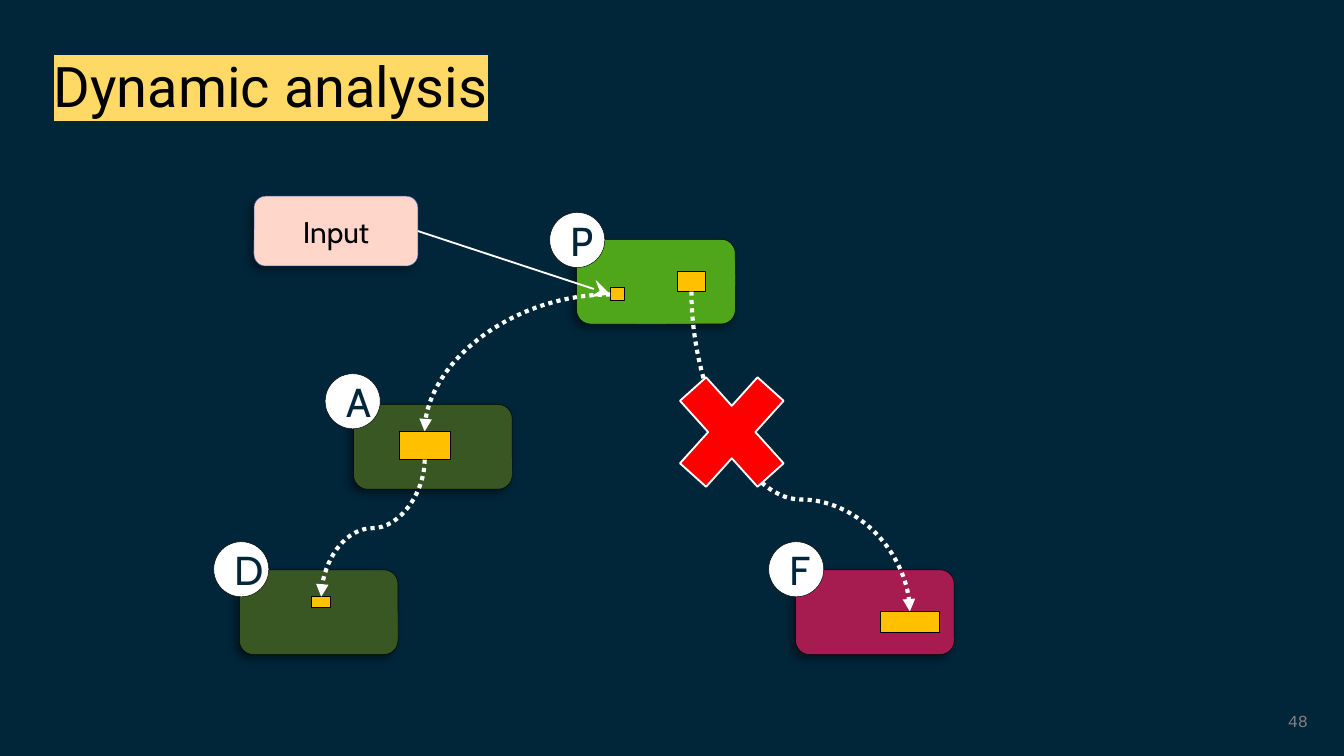
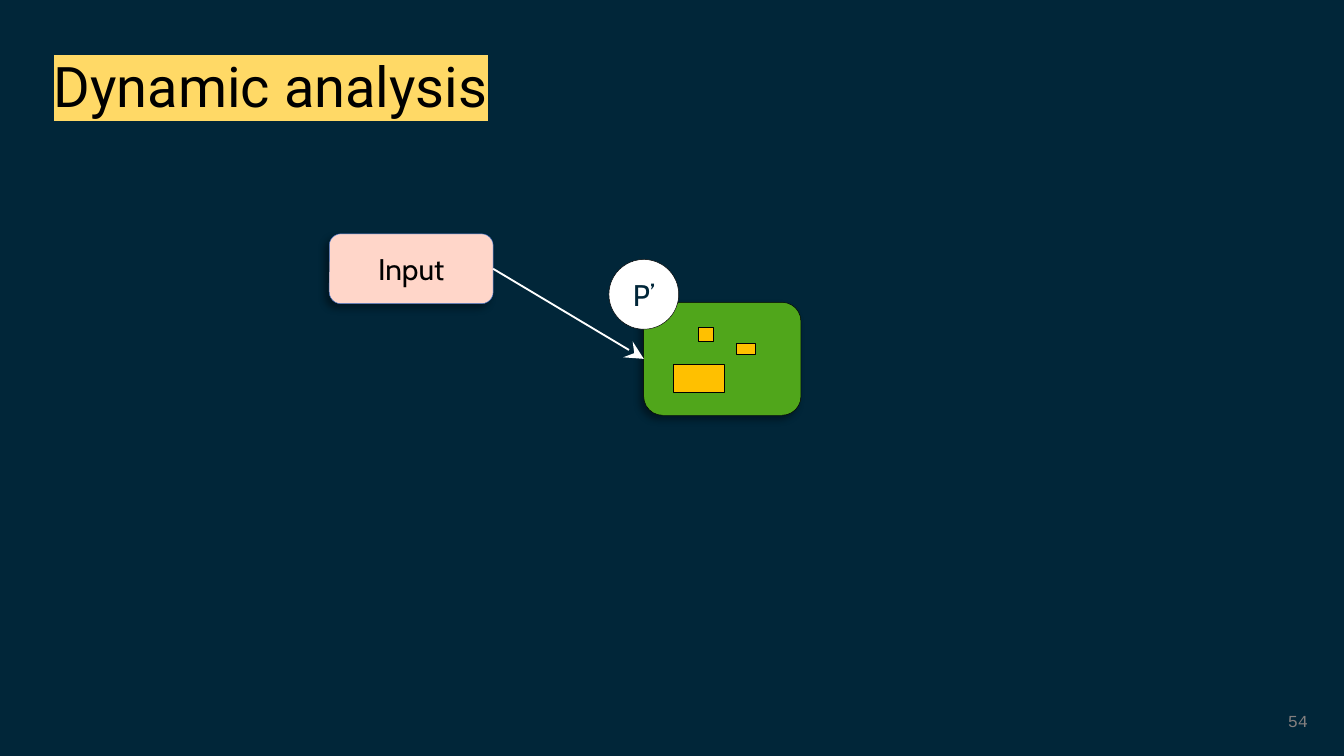
from lxml import etree
from pptx import Presentation
from pptx.dml.color import RGBColor
from pptx.enum.dml import MSO_LINE
from pptx.enum.shapes import MSO_CONNECTOR as LINK, MSO_SHAPE as SHAPE
from pptx.enum.text import MSO_ANCHOR as ANCHOR, MSO_AUTO_SIZE, PP_ALIGN as ALIGN
from pptx.oxml.ns import qn
from pptx.util import Pt

COLORS = {
    "night": "012639",
    "white": "FFFFFF",
    "black": "000000",
    "highlight": "FFD966",
    "program": "50A61B",
    "loaded": "385723",
    "unreached": "A61B50",
    "code": "FFC000",
    "input": "FFD6C9",
    "input_edge": "4472C4",
    "cross": "FF0000",
    "number": "847F7F",
}
TOP, LEFT, BOTTOM, RIGHT = range(4)
WIDE, SQUARE, SMALL = (27.4, 15.1), (7.9, 7.2), (10.1, 5.8)
MODULE = (85, 45.4)


def rgb(name):
    return RGBColor.from_string(COLORS[name])


def child(parent, tag, **attributes):
    return etree.SubElement(parent, qn(tag), **attributes)


class Deck:
    def __init__(self):
        self.prs = Presentation()
        self.prs.slide_width, self.prs.slide_height = Pt(720), Pt(405)

    def new_slide(self, title, number):
        self.slide = self.prs.slides.add_slide(self.prs.slide_layouts[5])
        background = self.slide.background.fill
        background.solid()
        background.fore_color.rgb = rgb("night")
        self.title(title)
        self.number(number)

    def set_text(self, shape, text, size, font, color, align, anchor):
        frame = shape.text_frame
        frame.text = text
        frame.word_wrap = True
        frame.auto_size = MSO_AUTO_SIZE.NONE
        frame.vertical_anchor = anchor
        paragraph = frame.paragraphs[0]
        paragraph.alignment = align
        run = paragraph.runs[0]
        run.font.size = Pt(size)
        run.font.name = font
        run.font.color.rgb = rgb(color)
        return paragraph

    def title(self, text):
        heading = self.slide.shapes.title
        heading.left, heading.top = Pt(21.6), Pt(28)
        heading.width, heading.height = Pt(526.3), Pt(38.9)
        paragraph = self.set_text(heading, text, 30, "Roboto", "black", ALIGN.LEFT, ANCHOR.TOP)
        paragraph.line_spacing = 0.9
        properties = paragraph.runs[0].font._element
        highlight = etree.Element(qn("a:highlight"))
        child(highlight, "a:srgbClr", val=COLORS["highlight"])
        properties.find(qn("a:solidFill")).addnext(highlight)

    def number(self, text):
        corner = self.slide.shapes.add_textbox(Pt(545.8), Pt(375.1), Pt(162), Pt(21.6))
        self.set_text(corner, text, 9, "Courier New", "number", ALIGN.RIGHT, ANCHOR.MIDDLE)

    def shape(self, kind, at, size, fill, edge="black", weight=0.25, shadow=False):
        shape = self.slide.shapes.add_shape(kind, *map(Pt, (*at, *size)))
        shape.fill.solid()
        shape.fill.fore_color.rgb = rgb(fill)
        shape.line.color.rgb = rgb(edge)
        shape.line.width = Pt(weight)
        shape.shadow.inherit = False
        if shadow:
            effects = shape.element.spPr.find(qn("a:effectLst"))
            outer = child(effects, "a:outerShdw", blurRad=str(Pt(4)), dist=str(Pt(3)),
                          dir="8100000", algn="tr", rotWithShape="0")
            color = child(outer, "a:srgbClr", val=COLORS["black"])
            child(color, "a:alpha", val="40000")
        return shape

    def module(self, at, fill, size=MODULE):
        return self.shape(SHAPE.ROUNDED_RECTANGLE, at, size, fill, shadow=True)

    def badge(self, letter, at, diameter=29.5, size=21.6):
        circle = self.shape(SHAPE.OVAL, at, (diameter, diameter), "white")
        self.set_text(circle, letter, size, "Cabin", "night", ALIGN.CENTER, ANCHOR.MIDDLE)

    def chip(self, at, size):
        return self.shape(SHAPE.RECTANGLE, at, size, "code", weight=0.5)

    def input_box(self, at):
        box = self.shape(SHAPE.ROUNDED_RECTANGLE, at, (87.8, 37.4), "input", "input_edge", shadow=True)
        self.set_text(box, "Input", 16, "Cabin", "black", ALIGN.CENTER, ANCHOR.MIDDLE)
        return box

    def connect(self, kind, source, source_side, target, target_side, weight, head, head_size, dash=None):
        link = self.slide.shapes.add_connector(kind, 0, 0, 0, 0)
        link.begin_connect(source, source_side)
        link.end_connect(target, target_side)
        link.line.color.rgb = rgb("white")
        link.line.width = Pt(weight)
        if dash:
            link.line.dash_style = dash
        properties = link.element.spPr
        child(properties.find(qn("a:ln")), "a:tailEnd", type=head, w=head_size, len=head_size)
        child(properties, "a:effectLst")
        return link

    def arrow(self, source, target):
        self.connect(LINK.STRAIGHT, source, RIGHT, target, LEFT, 1, "stealth", "lg")

    def call(self, source, source_side, target, bend=0.5):
        link = self.connect(LINK.CURVE, source, source_side, target, TOP,
                            2.25, "triangle", "med", MSO_LINE.ROUND_DOT)
        dx, dy = link.end_x - link.begin_x, link.end_y - link.begin_y
        middle_x, middle_y = link.begin_x + dx / 2, link.begin_y + dy / 2
        frame = link.element.spPr.find(qn("a:xfrm"))
        geometry = link.element.spPr.find(qn("a:prstGeom"))
        for flip in ("flipH", "flipV"):
            frame.attrib.pop(flip, None)
        if source_side == LEFT:
            width, height, turn, flip = abs(dx), abs(dy), 180, "flipV"
            geometry.set("prst", "curvedConnector2")
        else:
            width, height = abs(dy), abs(dx)
            turn, flip = (90, None) if dx < 0 else (270, "flipH")
            guides = geometry.find(qn("a:avLst"))
            child(guides, "a:gd", name="adj1", fmla=f"val {round(bend * 100000)}")
        frame.set("rot", str(turn * 60000))
        if flip:
            frame.set(flip, "1")
        link.left, link.top = int(middle_x - width / 2), int(middle_y - height / 2)
        link.width, link.height = int(width), int(height)

    def cross(self, at, size):
        self.shape(SHAPE.MATH_MULTIPLY, at, size, "cross", "white", 1)


def blocked_call(deck):
    deck.new_slide("Dynamic analysis", "48")
    for letter, at, badge_at, fill in (
        ("P", (308.9, 128.2), (294.5, 113.8), "program"),
        ("A", (189.4, 216.7), (174.2, 200.2), "loaded"),
        ("D", (128.2, 305.3), (114.5, 290.2), "loaded"),
        ("F", (426.2, 305.3), (411.8, 290.2), "unreached"),
    ):
        deck.module(at, fill)
        deck.badge(letter, badge_at)
    entry = deck.chip((326.9, 154.1), SQUARE)
    branch = deck.chip((362.9, 145.4), (15.1, 10.8))
    code_a = deck.chip((213.8, 231.1), WIDE)
    code_d = deck.chip((167, 319.7), SMALL)
    code_f = deck.chip((471.6, 327.6), (31.7, 11.5))
    deck.call(entry, LEFT, code_a)
    deck.call(code_a, BOTTOM, code_d)
    deck.call(branch, BOTTOM, code_f, 0.65)
    deck.arrow(deck.input_box((136.1, 105.1)), entry)
    deck.cross((352.1, 187.2), (79.9, 88.6))


def merged_program(deck):
    deck.new_slide("Dynamic analysis", "54")
    program = deck.module((344.9, 162), "program", (84.2, 60.5))
    deck.badge("P’", (326.2, 139), 37.4, 16)
    for at, size in (
        ((360.7, 195.1), WIDE),
        ((374.2, 175.7), SQUARE),
        ((394.6, 184.1), SMALL),
    ):
        deck.chip(at, size)
    deck.arrow(deck.input_box((176.4, 125.3)), program)


def main():
    deck = Deck()
    blocked_call(deck)
    merged_program(deck)
    deck.prs.save("out.pptx")


if __name__ == "__main__":
    main()
